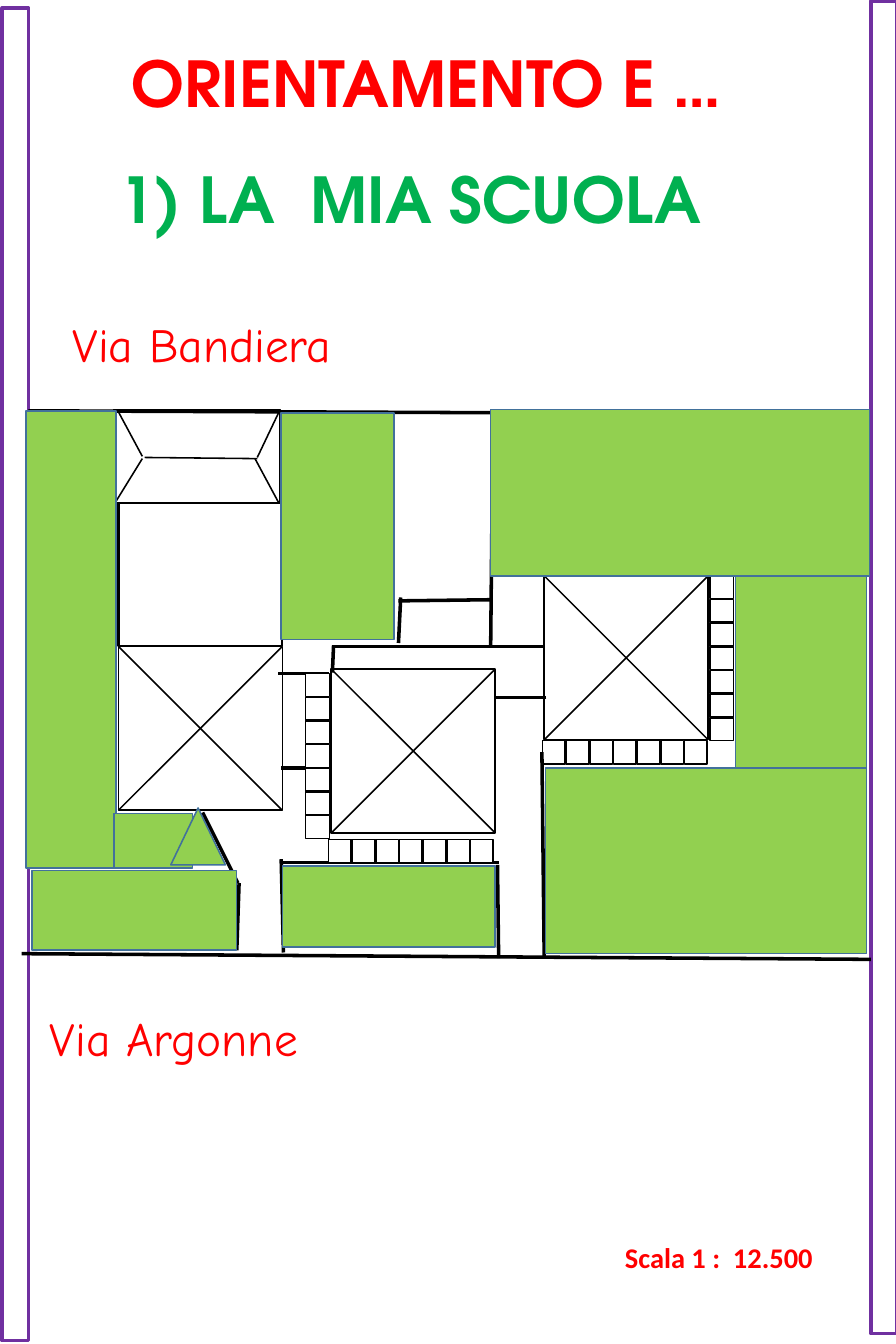
from dataclasses import dataclass

from lxml.etree import SubElement
from pptx import Presentation
from pptx.dml.color import RGBColor
from pptx.enum.shapes import MSO_CONNECTOR as Connector, MSO_SHAPE as Shape
from pptx.oxml.ns import qn
from pptx.util import Inches, Pt


@dataclass(frozen=True)
class Theme:
    red: str = "FF0000"
    green: str = "00B050"
    purple: str = "7030A0"
    black: str = "000000"
    white: str = "FFFFFF"
    lawn: str = "92D050"
    lawn_edge: str = "42719B"
    title_font: str = "TeX Gyre Adventor"
    street_font: str = "Comic Neue"
    scale_font: str = "Calibri"
    title_size: int = 40
    street_size: int = 30
    scale_size: int = 18
    thin: float = 1
    medium: float = 1.5
    thick: float = 2.25


THEME = Theme()
COLUMNS, ROWS = 787, 1181  # slide grid, all places are in its columns and rows
PAGE = (0, 0, COLUMNS, ROWS)
PLAN = (0, 360, COLUMNS, 483)
ROOM = 144
LOCKERS, LOCKER_PITCH = 7, 20.8

# Places below are relative to the plan
CLASSROOMS = [(104, 208), (291, 228), (478, 146)]
LOCKER_COLUMNS = [(623.5, 146), (268.5, 232)]
LOCKER_ROWS = [(476.5, 290.5), (288.5, 377.5)]
INNER_WALLS = [
    (289, 232, 244, 232), (291, 315, 247, 315), (480, 253, 436, 253),
    (438, 398, 247, 398), (293, 207, 292, 231), (477, 208, 293, 208),
    (431, 208, 433, 2), (764, 4, 25, 1), (350, 205, 352, 165),
    (432, 167, 350, 168),
]
OUTER_WALLS = [
    (438, 482, 437, 400), (249, 477, 247, 395), (765, 483, 19, 478),
    (476, 301, 478, 481), (210, 416, 208, 475), (178, 354, 209, 416),
]
LAWNS = [
    (431, 0, 333, 146), (479, 315, 282, 163), (646, 146, 115, 169),
    (248, 401, 187, 71), (28, 405, 180, 70), (23, 1, 79, 402),
    (100, 355, 69, 48), (247, 3, 99, 199),
]
TREE = (150, 350, 48, 50)


def units(*cells):
    return [Inches(cell / 100) for cell in cells]


def inside(box, x, y):
    return box[0] + x, box[1] + y


def add_area(slide, box, place, fill=THEME.white, edge=THEME.black,
             weight=THEME.thin, preset=Shape.RECTANGLE):
    x, y, width, height = place
    area = slide.shapes.add_shape(
        preset, *units(*inside(box, x, y), width, height))
    area.shadow.inherit = False
    area.fill.solid()
    area.fill.fore_color.rgb = RGBColor.from_string(fill)
    area.line.color.rgb = RGBColor.from_string(edge)
    area.line.width = Pt(weight)


def add_wall(slide, box, ends, weight=THEME.thick):
    x1, y1, x2, y2 = ends
    wall = slide.shapes.add_connector(
        Connector.STRAIGHT, *units(*inside(box, x1, y1), *inside(box, x2, y2)))
    wall.line.color.rgb = RGBColor.from_string(THEME.black)
    wall.line.width = Pt(weight)
    SubElement(wall._element.spPr, qn("a:effectLst"))


def add_label(slide, box, wording, font, size, color, bold=False):
    frame = slide.shapes.add_textbox(*units(*box)).text_frame
    frame.word_wrap = True
    frame.text = wording
    style = frame.paragraphs[0].runs[0].font
    style.name, style.size, style.bold = font, Pt(size), bold
    style.color.rgb = RGBColor.from_string(color)


def add_headings(slide):
    for box, wording, color in [
        ((106, 34, 692, 77), "ORIENTAMENTO E …", THEME.red),
        ((95, 136, 565, 77), "1) LA  MIA SCUOLA", THEME.green),
    ]:
        add_label(slide, box, wording, THEME.title_font, THEME.title_size,
                  color, bold=True)


def add_captions(slide):
    for box, street in [((54, 272, 357, 61), "Via Bandiera"),
                        ((34, 882, 357, 61), "Via Argonne")]:
        add_label(slide, box, street, THEME.street_font, THEME.street_size,
                  THEME.red)
    add_label(slide, (539, 1085, 190, 40), "Scala 1 :  12.500",
              THEME.scale_font, THEME.scale_size, THEME.red, bold=True)


def add_side_bars(slide, box):
    for x, y in [(765, 1), (2, 7)]:
        add_area(slide, box, (x, y, 23, 1171), edge=THEME.purple,
                 weight=THEME.thick)


def add_hipped_roof(slide, box):
    add_area(slide, box, (100, 0, 146, 82))
    for ridge in [(103, 0, 125, 41), (224, 43, 246, 84), (246, 0, 226, 42),
                  (125, 43, 101, 82), (127, 42, 226, 43)]:
        add_wall(slide, box, ridge, THEME.thin)


def add_classroom(slide, box, x, y):
    add_area(slide, box, (x, y, ROOM, ROOM))
    for diagonal in [(x, y, x + ROOM, y + ROOM), (x, y + ROOM, x + ROOM, y)]:
        add_wall(slide, box, diagonal, THEME.thin)


def add_lockers(slide, box):
    for index in range(LOCKERS):
        step = index * LOCKER_PITCH
        for x, y in LOCKER_COLUMNS:
            add_area(slide, box, (x, y + step, 21, 20))
        for x, y in LOCKER_ROWS:
            add_area(slide, box, (x + step, y, 20, 21))


def add_school_plan(slide, box):
    add_hipped_roof(slide, box)
    for x, y in CLASSROOMS:
        add_classroom(slide, box, x, y)
    for wall in INNER_WALLS:
        add_wall(slide, box, wall)
    add_lockers(slide, box)
    for wall in OUTER_WALLS:
        add_wall(slide, box, wall)
    add_area(slide, box, (104, 82, ROOM, 126), weight=THEME.medium)
    for lawn in LAWNS:
        add_area(slide, box, lawn, THEME.lawn, THEME.lawn_edge)
    add_area(slide, box, TREE, THEME.lawn, THEME.lawn_edge,
             preset=Shape.ISOSCELES_TRIANGLE)


def main():
    deck = Presentation()
    deck.slide_width, deck.slide_height = units(COLUMNS, ROWS)
    slide = deck.slides.add_slide(deck.slide_layouts[6])
    add_headings(slide)
    add_captions(slide)
    add_side_bars(slide, PAGE)
    add_school_plan(slide, PLAN)
    deck.save("out.pptx")


if __name__ == "__main__":
    main()
